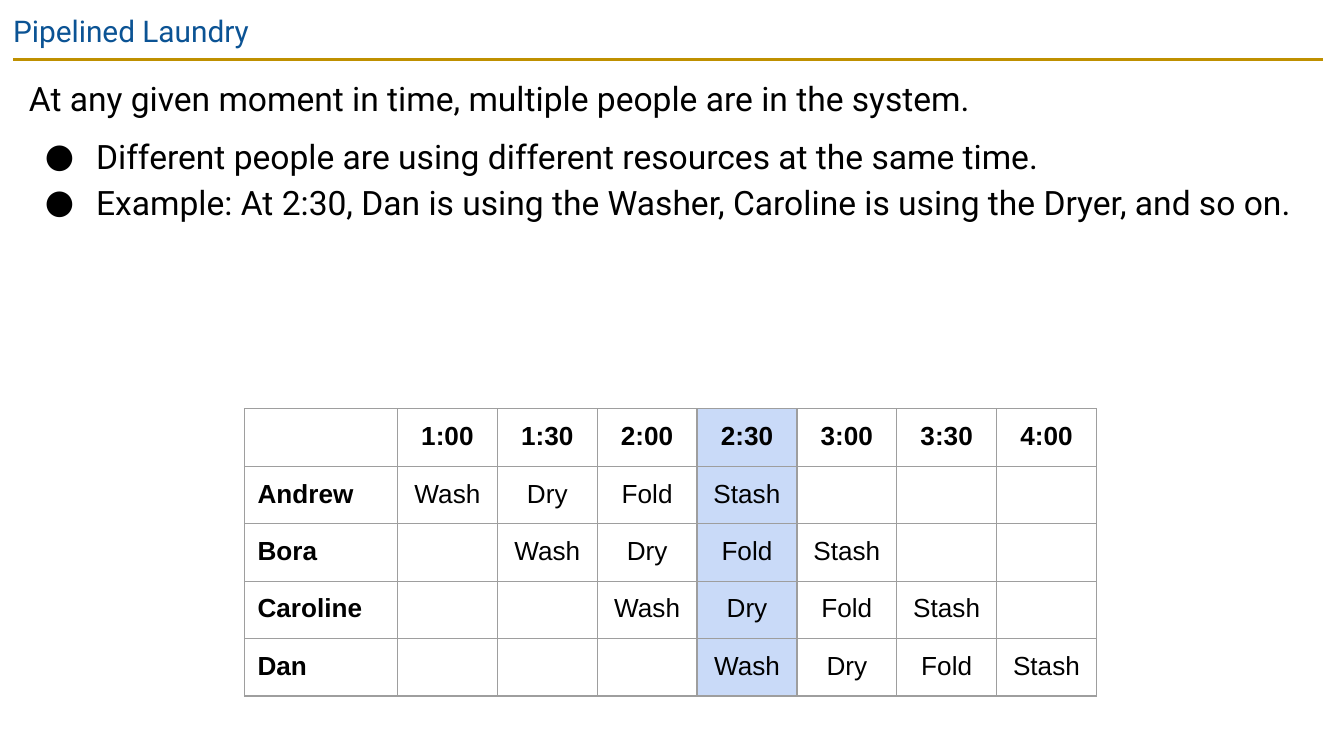
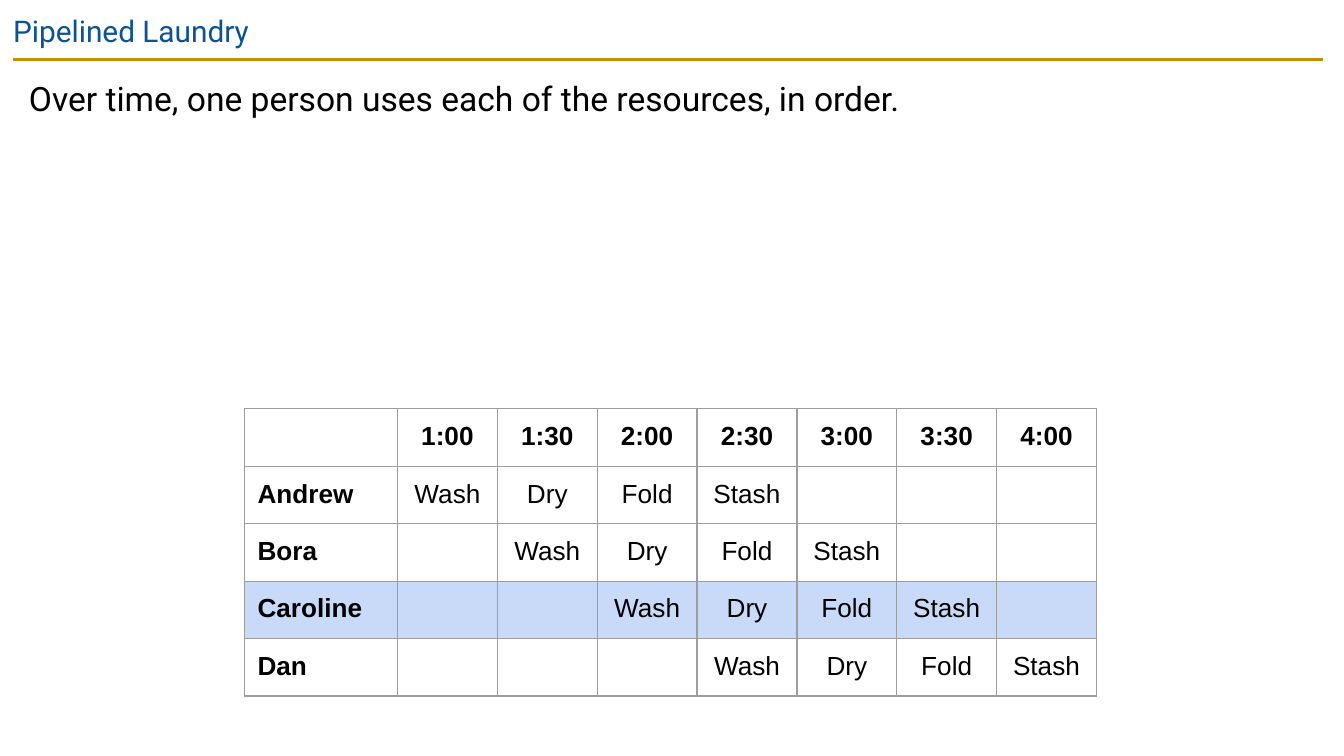
from dataclasses import dataclass

from lxml import etree
from pptx import Presentation
from pptx.dml.color import RGBColor
from pptx.enum.shapes import MSO_CONNECTOR
from pptx.enum.text import MSO_ANCHOR, PP_ALIGN
from pptx.oxml.ns import qn
from pptx.util import Pt

STRAIGHT = MSO_CONNECTOR.STRAIGHT
TOP = MSO_ANCHOR.TOP
LEFT, CENTER = PP_ALIGN.LEFT, PP_ALIGN.CENTER

PX = 6350
INSET = 14
ROW_H = 60
NAME_W, TIME_W = 164, 107
COLORS = {
    "title": "0B5394",
    "rule": "BF9000",
    "text": "000000",
    "grid": "9E9E9E",
    "mark": "C9DAF8",
}
TIMES = ["1:00", "1:30", "2:00", "2:30", "3:00", "3:30", "4:00"]
NAMES = ["Andrew", "Bora", "Caroline", "Dan"]
STEPS = ["Wash", "Dry", "Fold", "Stash"]


@dataclass(frozen=True)
class Line:
    text: str
    bullet: bool = False
    before: int = 6


@dataclass(frozen=True)
class Page:
    lines: tuple[Line, ...]
    row: int | None = None
    col: int | None = None


PAGES = [
    Page(
        (
            Line("At any given moment in time, multiple people are in the system."),
            Line("Different people are using different resources at the same time.", True),
            Line(
                "Example: At 2:30, Dan is using the Washer, Caroline is using the Dryer, and so on.",
                True,
                0,
            ),
        ),
        col=TIMES.index("2:30") + 1,
    ),
    Page(
        (Line("Over time, one person uses each of the resources, in order."),),
        row=NAMES.index("Caroline") + 1,
    ),
]


def px(count: int) -> int:
    """Turn pixels into EMU."""
    return count * PX


def tint(name: str) -> RGBColor:
    """Look up a named colour."""
    return RGBColor.from_string(COLORS[name])


def node(parent, tag: str, **attrs: str):
    """Append an XML child with the given attributes."""
    return etree.SubElement(parent, qn(tag), attrs)


def write(para, text: str, *, size: int, font: str = "Roboto", color: str = "text",
          bold: bool = False, align=LEFT) -> None:
    """Fill a paragraph with formatted text."""
    para.alignment = align
    if not text:
        node(para._p, "a:endParaRPr", sz=str(size * 100))
        return
    run = para.add_run()
    run.text = text
    run.font.size = Pt(size)
    run.font.name = font
    run.font.bold = bold
    run.font.color.rgb = tint(color)


def pad(item) -> None:
    """Give a cell or text frame equal insets on all sides."""
    item.margin_left = item.margin_right = px(INSET)
    item.margin_top = item.margin_bottom = px(INSET)
    item.vertical_anchor = TOP


def add_box(slide, left: int, top: int, width: int, height: int):
    """Add a wrapping text box and return its frame."""
    frame = slide.shapes.add_textbox(px(left), px(top), px(width), px(height)).text_frame
    frame.word_wrap = True
    pad(frame)
    return frame


def add_head(slide) -> None:
    """Draw the title and the rule below it."""
    rule = slide.shapes.add_connector(STRAIGHT, px(14), px(64), px(1418), px(64))
    rule.line.color.rgb = tint("rule")
    rule.line.width = Pt(1.5)
    node(rule._element.spPr, "a:effectLst")
    frame = add_box(slide, 0, 0, 1440, 62)
    write(frame.paragraphs[0], "Pipelined Laundry", size=16, color="title")


def add_body(slide, lines: tuple[Line, ...]) -> None:
    """Draw the lead sentence and its bullets."""
    frame = add_box(slide, 17, 63, 1403, 713)
    for i, line in enumerate(lines):
        para = frame.add_paragraph() if i else frame.paragraphs[0]
        para.line_spacing = 1.15
        para.space_before = Pt(line.before)
        write(para, line.text, size=18)
        if line.bullet:
            props = para._p.get_or_add_pPr()
            props.set("marL", str(px(72)))
            props.set("indent", str(px(-55)))
            node(node(props, "a:buClr"), "a:srgbClr", val=COLORS["text"])
            node(props, "a:buFont", typeface="Roboto")
            node(props, "a:buChar", char="●")


def edge(cell) -> None:
    """Draw the four borders of a cell."""
    props = cell._tc.get_or_add_tcPr()
    for side in "LRTB":
        line = node(props, f"a:ln{side}", w=str(Pt(0.75)))
        node(node(line, "a:solidFill"), "a:srgbClr", val=COLORS["grid"])


def label(row: int, col: int) -> str:
    """Return the text of a cell; each person starts one slot later."""
    if row == 0:
        return TIMES[col - 1] if col else ""
    if col == 0:
        return NAMES[row - 1]
    step = col - row
    return STEPS[step] if 0 <= step < len(STEPS) else ""


def add_grid(slide, page: Page) -> None:
    """Draw the schedule with one row or column marked."""
    rows, cols = len(NAMES) + 1, len(TIMES) + 1
    width = NAME_W + TIME_W * len(TIMES)
    table = slide.shapes.add_table(
        rows, cols, px(262), px(438), px(width), px(ROW_H * rows)
    ).table
    table.first_row = table.horz_banding = False
    for i, col in enumerate(table.columns):
        col.width = px(TIME_W if i else NAME_W)
    for r, row in enumerate(table.rows):
        row.height = px(ROW_H)
        for c, cell in enumerate(row.cells):
            pad(cell)
            edge(cell)
            if r == page.row or c == page.col:
                cell.fill.solid()
                cell.fill.fore_color.rgb = tint("mark")
            else:
                cell.fill.background()
            write(cell.text_frame.paragraphs[0], label(r, c), size=14, font="Arial",
                  bold=r == 0 or c == 0, align=CENTER if c else LEFT)


def main() -> None:
    """Build and save the deck."""
    deck = Presentation()
    deck.slide_width, deck.slide_height = px(1440), px(810)
    for page in PAGES:
        slide = deck.slides.add_slide(deck.slide_layouts[6])
        add_head(slide)
        add_body(slide, page.lines)
        add_grid(slide, page)
    deck.save("out.pptx")


if __name__ == "__main__":
    main()
